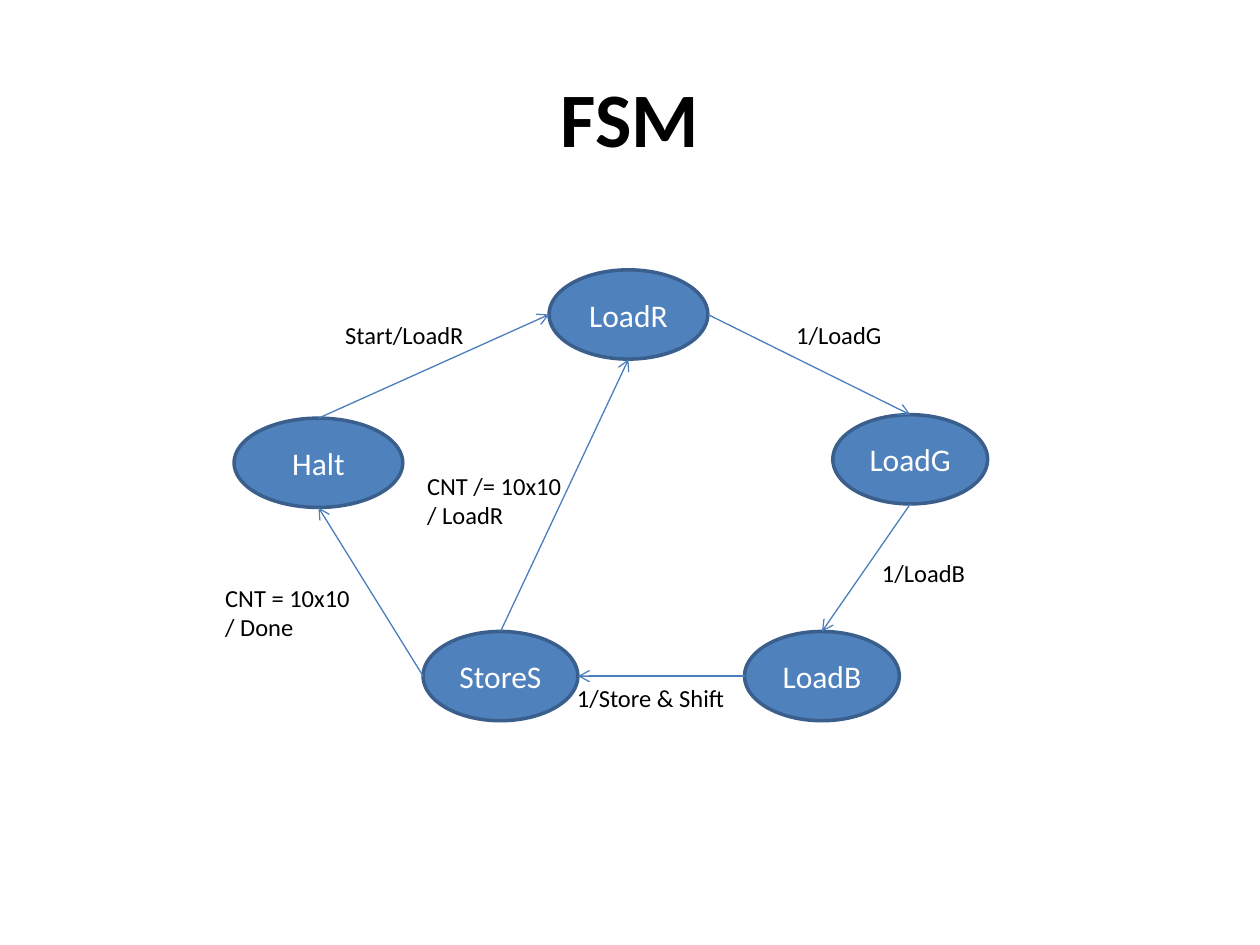
from lxml.etree import SubElement
from pptx import Presentation
from pptx.dml.color import RGBColor
from pptx.enum.shapes import MSO_CONNECTOR, MSO_SHAPE
from pptx.enum.text import MSO_ANCHOR, MSO_AUTO_SIZE, PP_ALIGN
from pptx.oxml.ns import qn
from pptx.util import Cm, Pt

COLORS = {"text": "000000", "state": "4F81BD", "outline": "3A5F8C",
          "arrow": "4B7EBC", "state_text": "FFFFFF"}
STATE_HEIGHT = 1.8
# Connection sites of an ellipse: index, and position as a share of its size
SITES = {"top": (0, 0.5, 0), "left": (2, 0, 0.5),
         "bottom": (4, 0.5, 1), "right": (6, 1, 0.5)}


class Diagram:
    """Holds the style and the current slide of a state diagram."""

    font = "Calibri"

    def __init__(self, slide):
        """Start drawing on the given slide."""
        self.slide = slide

    def color(self, name):
        """Return a palette colour."""
        return RGBColor.from_string(COLORS[name])

    def set_text(self, frame, text, size, color="text", align=None, bold=False):
        """Fill a text frame and format its runs."""
        frame.text = text
        frame.word_wrap = True
        for paragraph in frame.paragraphs:
            paragraph.alignment = align
            for run in paragraph.runs:
                run.font.name = self.font
                run.font.size = Pt(size)
                run.font.bold = bold
                run.font.color.rgb = self.color(color)

    def title(self, text, left, top, width, height):
        """Place and fill the title placeholder."""
        heading = self.slide.shapes.title
        heading.left, heading.top = Cm(left), Cm(top)
        heading.width, heading.height = Cm(width), Cm(height)
        heading.text_frame.vertical_anchor = MSO_ANCHOR.MIDDLE
        self.set_text(heading.text_frame, text, 44,
                      align=PP_ALIGN.CENTER, bold=True)

    def state(self, name, left, top, width):
        """Draw one state as an ellipse."""
        state = self.slide.shapes.add_shape(
            MSO_SHAPE.OVAL, Cm(left), Cm(top), Cm(width), Cm(STATE_HEIGHT))
        state.shadow.inherit = False
        state.fill.solid()
        state.fill.fore_color.rgb = self.color("state")
        state.line.color.rgb = self.color("outline")
        state.line.width = Pt(2)
        state.text_frame.vertical_anchor = MSO_ANCHOR.MIDDLE
        self.set_text(state.text_frame, name, 18, "state_text", PP_ALIGN.CENTER)
        return state

    def transition(self, source, source_side, target, target_side):
        """Draw an arrow attached to two states."""
        points, links = [], []
        for tag, state, side in (("a:stCxn", source, source_side),
                                 ("a:endCxn", target, target_side)):
            site, across, down = SITES[side]
            points += [int(state.left + across * state.width),
                       int(state.top + down * state.height)]
            links.append((tag, state.shape_id, site))
        arrow = self.slide.shapes.add_connector(MSO_CONNECTOR.STRAIGHT, *points)
        arrow.line.color.rgb = self.color("arrow")
        arrow.line.width = Pt(0.75)
        properties = arrow.element.spPr
        SubElement(properties.find(qn("a:ln")), qn("a:tailEnd"), type="arrow")
        SubElement(properties, qn("a:effectLst"))
        for tag, shape_id, site in links:
            SubElement(arrow.element.nvCxnSpPr.cNvCxnSpPr, qn(tag),
                       id=str(shape_id), idx=str(site))

    def label(self, text, left, top, width):
        """Add the condition and action of a transition."""
        height = 1.45 if "\n" in text else 0.86
        label = self.slide.shapes.add_textbox(
            Cm(left), Cm(top), Cm(width), Cm(height))
        self.set_text(label.text_frame, text, 14)
        label.text_frame.auto_size = MSO_AUTO_SIZE.SHAPE_TO_FIT_TEXT


def main():
    """Build the state machine slide."""
    deck = Presentation()
    deck.slide_width, deck.slide_height = Cm(25.4), Cm(19.05)
    title_only = deck.slide_layouts[5]
    diagram = Diagram(deck.slides.add_slide(title_only))
    diagram.title("FSM", 1.27, 0.76, 22.86, 3.18)

    states = {name: diagram.state(name, *place) for name, *place in (
        ("Halt", 4.72, 8.43, 3.4),
        ("LoadR", 11.07, 5.44, 3.2),
        ("LoadG", 16.79, 8.36, 3.12),
        ("LoadB", 15.01, 12.73, 3.12),
        ("StoreS", 8.53, 12.73, 3.12),
    )}
    for source, source_side, target, target_side in (
        ("Halt", "top", "LoadR", "left"),
        ("LoadR", "right", "LoadG", "top"),
        ("LoadG", "bottom", "LoadB", "top"),
        ("LoadB", "left", "StoreS", "right"),
        ("StoreS", "left", "Halt", "bottom"),
        ("StoreS", "top", "LoadR", "bottom"),
    ):
        diagram.transition(states[source], source_side,
                           states[target], target_side)
    for condition, left, top, width in (
        ("Start/LoadR", 6.71, 6.32, 3.2),
        ("1/LoadG", 15.8, 6.32, 2.34),
        ("1/LoadB", 17.53, 11.13, 2.39),
        ("1/Store & Shift", 11.38, 13.64, 3.61),
        ("CNT /= 10x10\n/ LoadR", 8.36, 9.37, 3.53),
        ("CNT = 10x10 \n/ Done", 4.29, 11.63, 3.4),
    ):
        diagram.label(condition, left, top, width)
    deck.save("out.pptx")


main()
